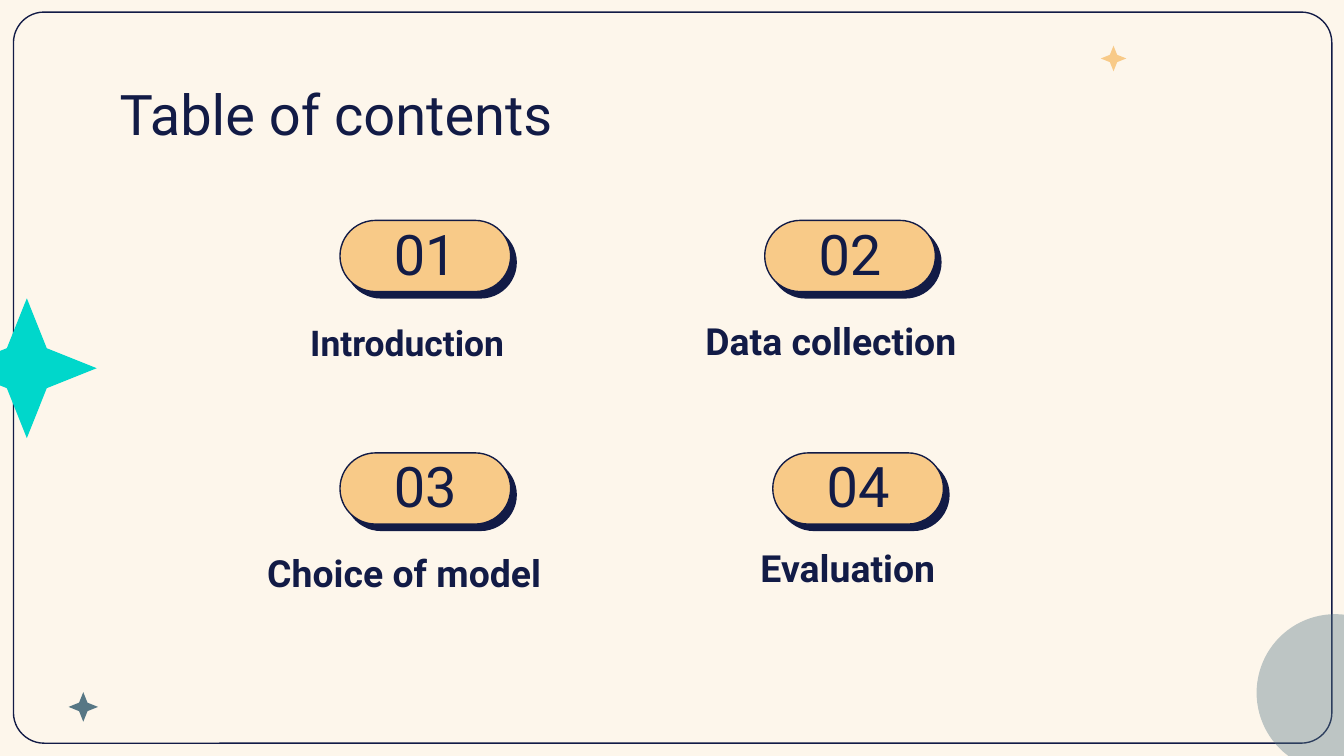
from lxml.etree import SubElement
from pptx import Presentation
from pptx.dml.color import RGBColor
from pptx.enum.shapes import MSO_SHAPE as Shape
from pptx.enum.text import MSO_ANCHOR as Anchor, MSO_AUTO_SIZE as AutoSize, PP_ALIGN as Align
from pptx.oxml.ns import qn
from pptx.util import Inches, Pt

NAVY, CREAM, ORANGE = "121B46", "FDF6EB", "F8CA88"
TEAL, SLATE = "00D7CB", "577785"
FONT = "Roboto"
PILL_SIZE = (1.27, 0.53)
NUMBER_SIZE = (1.27, 0.49)
NUMBER_DROP = 0.1

# number, pill left and top, label, label box, label size
TOPICS = [
    ("01", 2.53, 1.64, "Introduction", (2.21, 2.29, 1.91, 0.53), 19),
    ("02", 5.69, 1.64, "Data collection", (5.15, 2.27, 2.47, 0.53), 20),
    ("03", 2.53, 3.37, "Choice of model", (1.89, 3.99, 2.54, 0.53), 20),
    ("04", 5.75, 3.37, "Evaluation", (5.56, 3.96, 1.82, 0.53), 20),
]
# left, top, size, colour
STARS = [(-0.32, 2.22, 1.04, TEAL), (0.51, 5.15, 0.22, SLATE), (8.19, 0.34, 0.19, ORANGE)]


def rgb(colour):
    return RGBColor.from_string(colour)


def add_shape(slide, kind, box, fill=None, line=None, adjustment=None):
    shape = slide.shapes.add_shape(kind, *map(Inches, box))
    shape.shadow.inherit = False
    if adjustment is not None:
        shape.adjustments[0] = adjustment
    if fill:
        shape.fill.solid()
        shape.fill.fore_color.rgb = rgb(fill)
    else:
        shape.fill.background()
    if line:
        shape.line.color.rgb = rgb(line)
        shape.line.width = Pt(0.75)
    else:
        shape.line.fill.background()
    return shape


def set_opacity(shape, percent):
    colour = shape.element.spPr.find(qn("a:solidFill"))[0]
    SubElement(colour, qn("a:alpha"), val=str(percent * 1000))


def add_hard_shadow(shape, colour, distance, degrees):
    """Give the shape an unblurred offset shadow; distance is in points."""
    effects = shape.element.spPr.find(qn("a:effectLst"))
    shadow = SubElement(effects, qn("a:outerShdw"), blurRad="0", dist=str(Pt(distance)),
                        dir=str(degrees * 60000), algn="bl", rotWithShape="0")
    SubElement(shadow, qn("a:srgbClr"), val=colour)


def write(shape, text, size, bold=False, align=Align.LEFT, anchor=Anchor.TOP):
    frame = shape.text_frame
    frame.text = text
    frame.word_wrap = True
    frame.auto_size = AutoSize.NONE
    frame.vertical_anchor = anchor
    frame.margin_left = frame.margin_right = Inches(0.1)
    frame.margin_top = frame.margin_bottom = Inches(0.1)
    paragraph = frame.paragraphs[0]
    paragraph.alignment = align
    paragraph.line_spacing = 1.0
    paragraph.space_before = Pt(0)
    font = paragraph.runs[0].font
    font.name, font.size, font.bold = FONT, Pt(size), bold
    font.color.rgb = rgb(NAVY)


def add_text(slide, box, text, size, **style):
    write(slide.shapes.add_textbox(*map(Inches, box)), text, size, **style)


def add_decoration(slide):
    add_shape(slide, Shape.ROUNDED_RECTANGLE, (0.1, 0.09, 9.81, 5.44),
              line=NAVY, adjustment=0.042)
    circle = add_shape(slide, Shape.OVAL, (9.35, 4.57, 1.17, 1.17), fill=SLATE)
    set_opacity(circle, 38)
    for left, top, size, colour in STARS:
        add_shape(slide, Shape.STAR_4_POINT, (left, top, size, size),
                  fill=colour, adjustment=0.202)


def add_title(slide, text):
    title = slide.shapes.title
    title.left, title.top, title.width, title.height = map(Inches, (0.79, 0.49, 8.43, 0.63))
    write(title, text, 30)


def add_topic(slide, number, left, top, label, label_box, label_size):
    pill = add_shape(slide, Shape.ROUNDED_RECTANGLE, (left, top, *PILL_SIZE),
                     fill=ORANGE, line=NAVY, adjustment=0.5)
    add_hard_shadow(pill, NAVY, 4.5, 49)
    add_text(slide, (left, top + NUMBER_DROP, *NUMBER_SIZE), number, 30,
             align=Align.CENTER, anchor=Anchor.BOTTOM)
    add_text(slide, label_box, label, label_size, bold=True)


def main():
    presentation = Presentation()
    presentation.slide_width = Inches(10)
    presentation.slide_height = presentation.slide_width * 9 // 16
    slide = presentation.slides.add_slide(presentation.slide_layouts[5])
    slide.background.fill.solid()
    slide.background.fill.fore_color.rgb = rgb(CREAM)
    add_decoration(slide)
    add_title(slide, "Table of contents")
    for topic in TOPICS:
        add_topic(slide, *topic)
    presentation.save("out.pptx")


if __name__ == "__main__":
    main()
